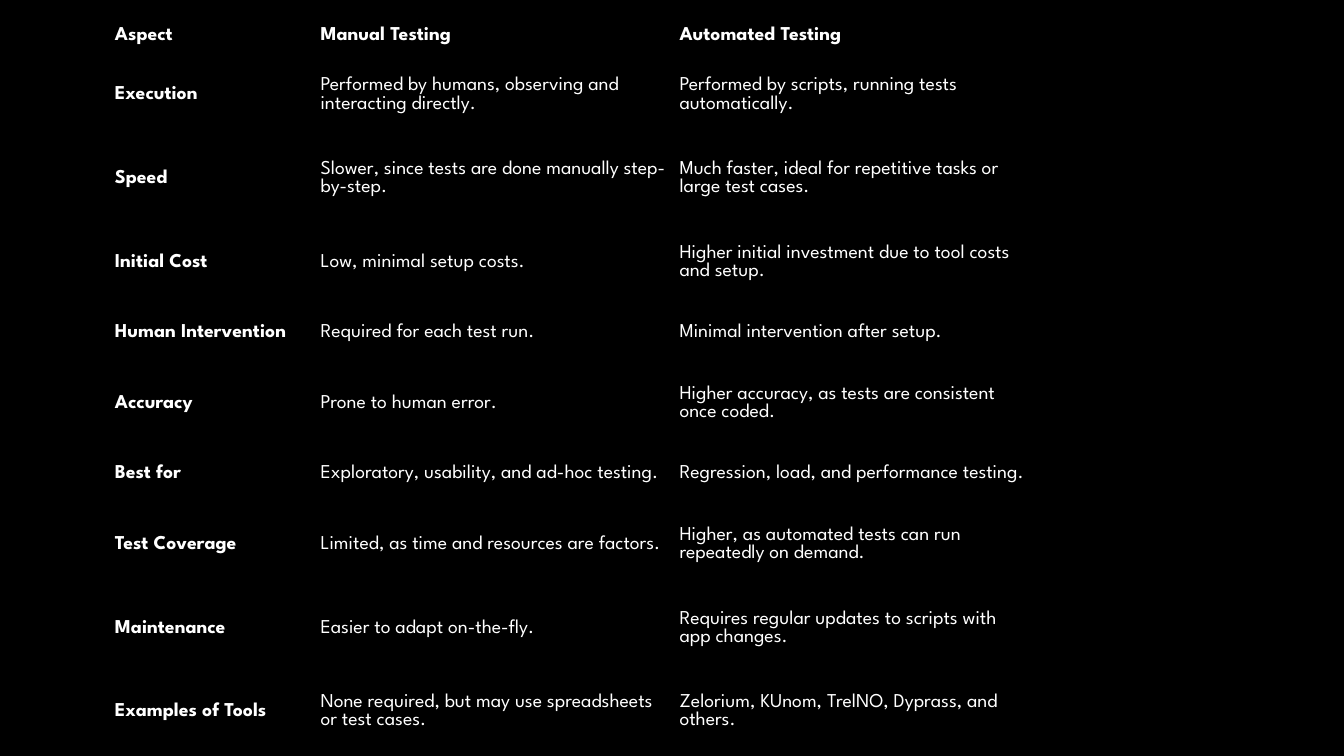
from dataclasses import dataclass

from pptx import Presentation
from pptx.dml.color import RGBColor
from pptx.enum.text import MSO_ANCHOR
from pptx.oxml.ns import qn
from pptx.slide import Slide
from pptx.table import _Cell as Cell
from pptx.util import Inches, Pt

BLACK = RGBColor(0x00, 0x00, 0x00)
WHITE = RGBColor(0xFF, 0xFF, 0xFF)
MIDDLE = MSO_ANCHOR.MIDDLE
FONT = "League Spartan"
PLAIN = "{2D5ABB26-0587-4C30-8999-92F81FD0307C}"  # no style, no grid

LEFT, TOP = 1.08, 0.18
WIDTHS = (2.04, 3.56, 3.56)
HEAD, SHORT, TALL = 0.35, 0.57, 0.83


@dataclass(frozen=True)
class Row:
    aspect: str
    manual: str
    auto: str
    height: float = TALL


ROWS = (
    Row("Aspect", "Manual Testing", "Automated Testing", HEAD),
    Row("Execution", "Performed by humans, observing and interacting directly.",
        "Performed by scripts, running tests automatically."),
    Row("Speed", "Slower, since tests are done manually step-by-step.",
        "Much faster, ideal for repetitive tasks or large test cases."),
    Row("Initial Cost", "Low, minimal setup costs.",
        "Higher initial investment due to tool costs and setup."),
    Row("Human Intervention", "Required for each test run.",
        "Minimal intervention after setup.", SHORT),
    Row("Accuracy", "Prone to human error.",
        "Higher accuracy, as tests are consistent once coded."),
    Row("Best for", "Exploratory, usability, and ad-hoc testing.",
        "Regression, load, and performance testing.", SHORT),
    Row("Test Coverage", "Limited, as time and resources are factors.",
        "Higher, as automated tests can run repeatedly on demand."),
    Row("Maintenance", "Easier to adapt on-the-fly.",
        "Requires regular updates to scripts with app changes."),
    Row("Examples of Tools",
        "None required, but may use spreadsheets or test cases.",
        "Zelorium, KUnom, TrelNO, Dyprass, and others."),
)


def fill_cell(cell: Cell, text: str, bold: bool) -> None:
    cell.fill.background()
    cell.vertical_anchor = MIDDLE
    cell.margin_left = cell.margin_right = Inches(0.06)
    cell.margin_top = cell.margin_bottom = Inches(0.03)
    cell.text = text
    font = cell.text_frame.paragraphs[0].font
    font.name, font.size, font.bold = FONT, Pt(14), bold
    font.color.rgb = WHITE


def add_grid(slide: Slide) -> None:
    high = sum(row.height for row in ROWS)
    frame = slide.shapes.add_table(
        len(ROWS), len(WIDTHS), Inches(LEFT), Inches(TOP),
        Inches(sum(WIDTHS)), Inches(high))
    table = frame.table
    table.horz_banding = table.first_row = False
    for style in frame.element.iter(qn("a:tableStyleId")):
        style.text = PLAIN
    for col, width in zip(table.columns, WIDTHS):
        col.width = Inches(width)

    # Headings fill the first row and the first column
    for r, row in enumerate(ROWS):
        table.rows[r].height = Inches(row.height)
        for c, text in enumerate((row.aspect, row.manual, row.auto)):
            fill_cell(table.cell(r, c), text, r == 0 or c == 0)


def main() -> None:
    deck = Presentation()
    deck.slide_width, deck.slide_height = Inches(13.33), Inches(7.5)
    slide = deck.slides.add_slide(deck.slide_layouts[6])

    # Backdrop
    back = slide.background.fill
    back.solid()
    back.fore_color.rgb = BLACK

    # Comparison table
    add_grid(slide)
    deck.save("out.pptx")


if __name__ == "__main__":
    main()
